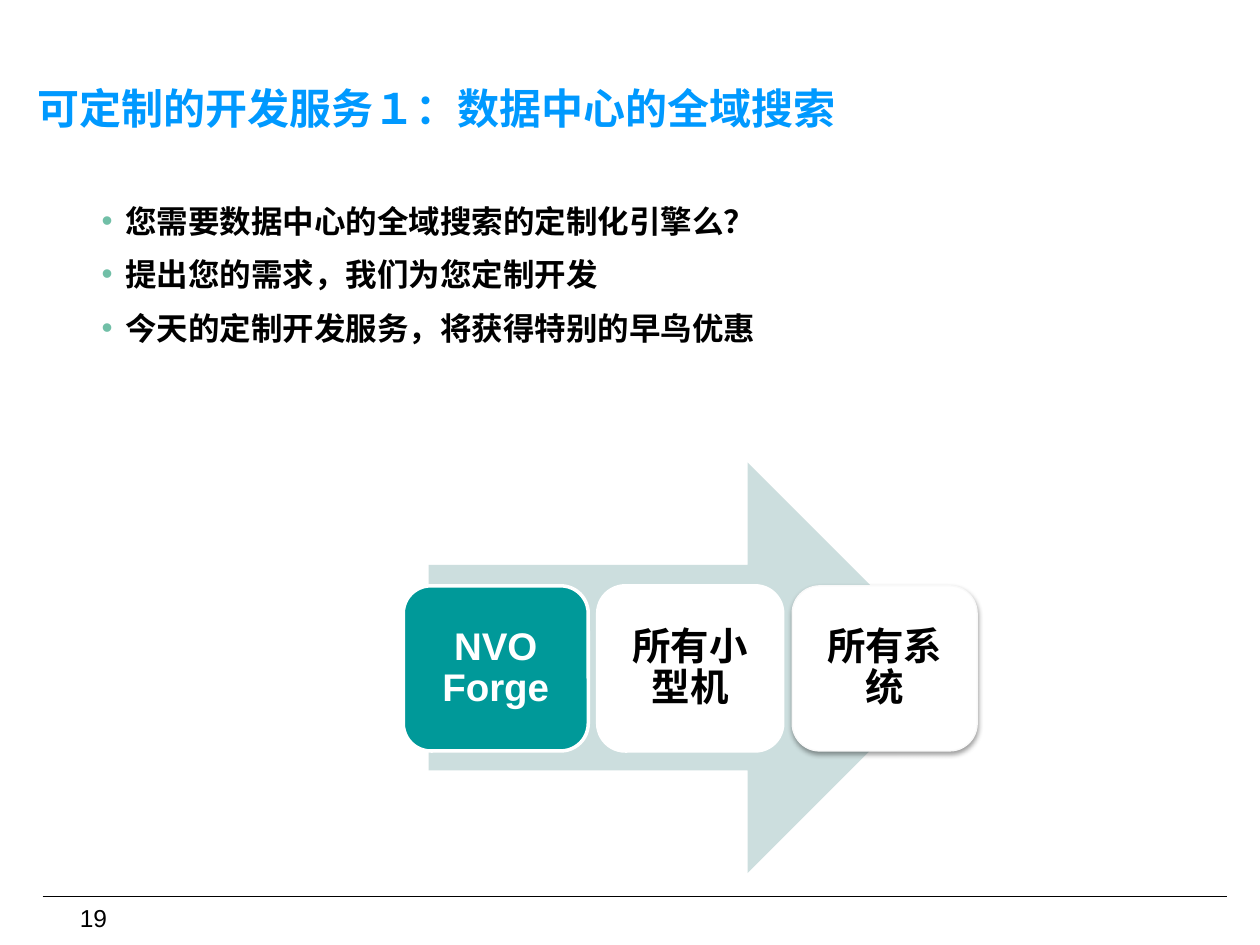
from lxml import etree
from pptx import Presentation
from pptx import util as u
from pptx.dml.color import RGBColor
from pptx.enum import shapes, text
from pptx.oxml.ns import qn

COLORS = {
    "title": "0099FF", "ink": "000000", "paper": "FFFFFF", "bullet": "71BFA7",
    "arrow": "CCDEDE", "teal": "009999", "edge": "F9F9F9",
}
QUESTIONS = [
    "您需要数据中心的全域搜索的定制化引擎么？",
    "提出您的需求，我们为您定制开发",
    "今天的定制开发服务，将获得特别的早鸟优惠",
]
# label, fill, text colour, line colour, line width, shadow
STAGES = [
    ("NVO Forge", "teal", "paper", "paper", 2, False),
    ("所有小型机", "paper", "ink", "paper", 2, False),
    ("所有系统", "paper", "ink", "edge", 0.75, True),
]


def rgb(name):
    return RGBColor.from_string(COLORS[name])


def add_xml(parent, tag, **attributes):
    return etree.SubElement(parent, qn(tag), attributes)


class SlideBuilder:
    def __init__(self, presentation):
        self.slide = presentation.slides.add_slide(presentation.slide_layouts[5])

    def format_run(self, paragraph, content, size, color="ink", bold=True, name="Arial"):
        run = paragraph.add_run()
        run.text = content
        style = {"name": name, "size": u.Pt(size), "bold": bold}
        for attribute, value in style.items():
            setattr(run.font, attribute, value)
        run.font.color.rgb = rgb(color)

    def title(self, content, box):
        shape = self.slide.shapes.title
        for side, value in zip(("left", "top", "width", "height"), box):
            setattr(shape, side, u.Cm(value))
        frame = shape.text_frame
        frame.auto_size = text.MSO_AUTO_SIZE.NONE
        frame.vertical_anchor = text.MSO_ANCHOR.TOP
        paragraph = frame.paragraphs[0]
        paragraph.alignment = text.PP_ALIGN.LEFT
        paragraph.line_spacing = 0.9
        self.format_run(paragraph, content, 24, "title")

    def text_box(self, box):
        frame = self.slide.shapes.add_textbox(*map(u.Cm, box)).text_frame
        frame.word_wrap = True
        return frame

    def page_number(self, content, box):
        paragraph = self.text_box(box).paragraphs[0]
        paragraph.alignment = text.PP_ALIGN.RIGHT
        self.format_run(paragraph, content, 14, bold=False)

    def bullets(self, items, box):
        frame = self.text_box(box)
        frame.auto_size = text.MSO_AUTO_SIZE.SHAPE_TO_FIT_TEXT
        for index, item in enumerate(items):
            paragraph = frame.add_paragraph() if index else frame.paragraphs[0]
            self.format_run(paragraph, item, 18, name="Roboto Condensed")
            self.bullet(paragraph)

    def bullet(self, paragraph):
        """Add a hanging bullet and half a line of space before."""
        properties = paragraph._p.get_or_add_pPr()
        indent = u.Cm(0.48)
        properties.set("marL", str(indent))
        properties.set("indent", str(-indent))
        add_xml(add_xml(properties, "a:spcBef"), "a:spcPct", val="50000")
        add_xml(add_xml(properties, "a:buClr"), "a:srgbClr", val=COLORS["bullet"])
        add_xml(properties, "a:buFont", typeface="Arial")
        add_xml(properties, "a:buChar", char="•")

    def block(self, kind, box, fill):
        shape = self.slide.shapes.add_shape(kind, *map(u.Cm, box))
        shape.shadow.inherit = False
        shape.fill.solid()
        shape.fill.fore_color.rgb = rgb(fill)
        shape.line.fill.background()
        return shape

    def stage(self, box, label, fill, color, edge, width, shadow):
        shape = self.block(shapes.MSO_SHAPE.ROUNDED_RECTANGLE, box, fill)
        shape.line.color.rgb = rgb(edge)
        shape.line.width = u.Pt(width)
        if shadow:
            self.drop_shadow(shape)
        frame = shape.text_frame
        frame.word_wrap = True
        frame.vertical_anchor = text.MSO_ANCHOR.MIDDLE
        for side in ("left", "top", "right", "bottom"):
            setattr(frame, f"margin_{side}", u.Cm(0.23))
        paragraph = frame.paragraphs[0]
        paragraph.alignment = text.PP_ALIGN.CENTER
        paragraph.line_spacing = 0.9
        self.format_run(paragraph, label, 22, color)

    def drop_shadow(self, shape):
        effects = shape._element.spPr.find(qn("a:effectLst"))
        outer = add_xml(effects, "a:outerShdw", blurRad=str(u.Pt(3.1)),
                        dist=str(u.Pt(1.6)), dir="5400000", rotWithShape="0")
        color = add_xml(outer, "a:srgbClr", val=COLORS["ink"])
        add_xml(color, "a:alpha", val="38000")

    def rule(self, left, right, y):
        line = self.slide.shapes.add_connector(
            shapes.MSO_CONNECTOR.STRAIGHT, *map(u.Cm, (left, y, right, y)))
        line.line.color.rgb = rgb("ink")
        line.line.width = u.Pt(0.75)
        add_xml(line._element.spPr, "a:effectLst")


def main():
    presentation = Presentation()
    presentation.slide_width = u.Cm(25.4)
    presentation.slide_height = u.Cm(19.05)
    builder = SlideBuilder(presentation)
    builder.rule(0.86, 24.74, 18.08)
    builder.page_number("19", (0.66, 18.08, 1.75, 0.97))
    builder.title("可定制的开发服务１：数据中心的全域搜索", (0.51, 1.65, 24.13, 1.68))
    builder.bullets(QUESTIONS, (1.8, 3.94, 19.61, 3.33))
    builder.block(shapes.MSO_SHAPE.RIGHT_ARROW, (8.64, 9.32, 10.57, 8.28), "arrow")
    for index, stage in enumerate(STAGES):
        builder.stage((8.13 + index * 3.92, 11.81, 3.73, 3.33), *stage)
    presentation.save("out.pptx")


if __name__ == "__main__":
    main()
